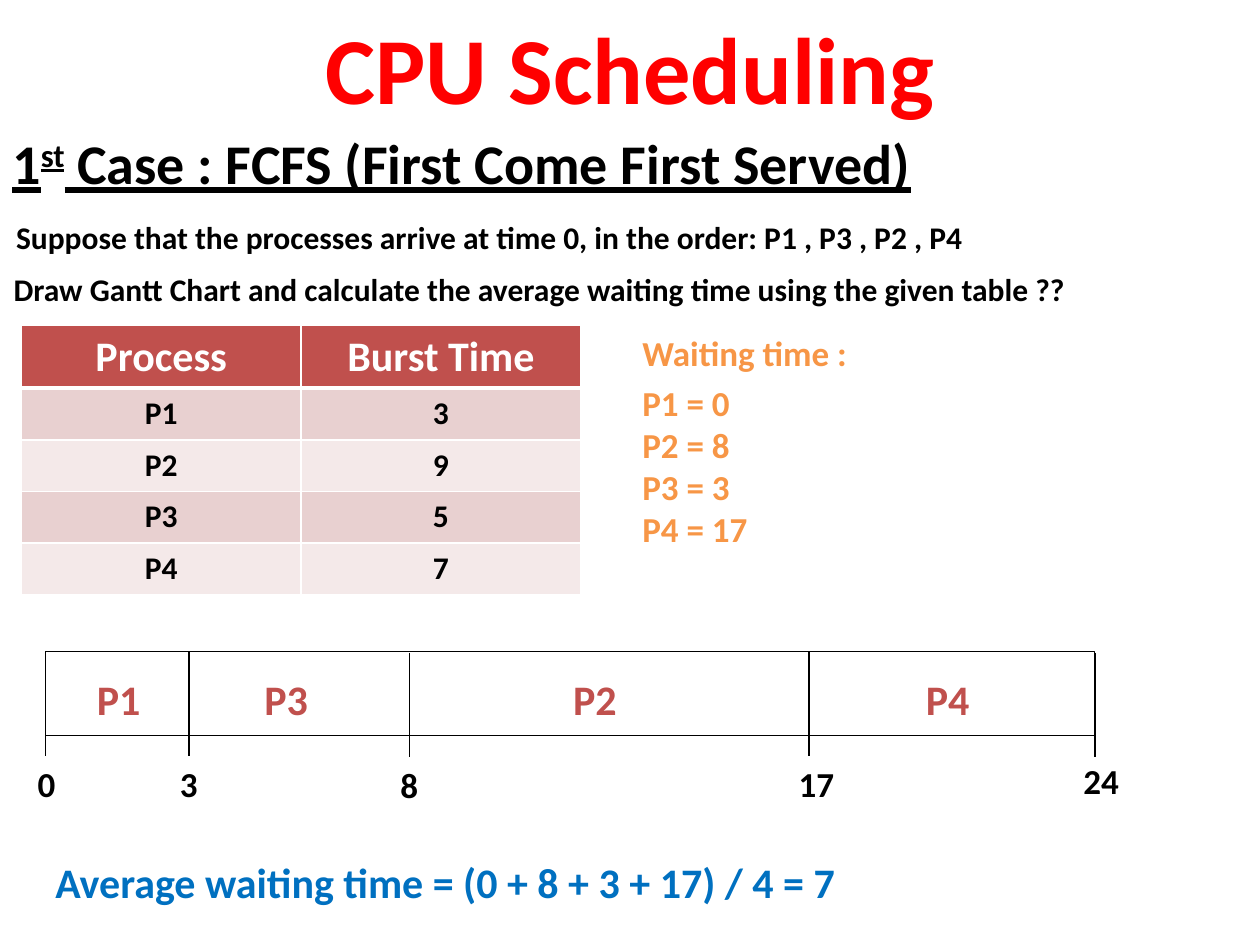
from lxml import etree
from pptx import Presentation
from pptx.dml.color import RGBColor
from pptx.enum.shapes import MSO_CONNECTOR, MSO_SHAPE
from pptx.enum.text import MSO_ANCHOR, PP_ALIGN
from pptx.oxml.ns import qn
from pptx.util import Inches, Pt

LEFT, CENTER = PP_ALIGN.LEFT, PP_ALIGN.CENTER
TOP, MIDDLE = MSO_ANCHOR.TOP, MSO_ANCHOR.MIDDLE
STRAIGHT = MSO_CONNECTOR.STRAIGHT
RECTANGLE = MSO_SHAPE.RECTANGLE

BLACK, WHITE, RED, ORANGE, BLUE = "000000", "FFFFFF", "C0504D", "F79646", "0070C0"
BANDS = ("E8D0D0", "F4E9E9")


def color(code):
    return RGBColor.from_string(code)


class SlideBuilder:
    """Holds the text style and the slide being built."""

    def __init__(self, slide, font="Calibri"):
        self.shapes = slide.shapes
        self.font = font

    def style(self, paragraph, size, code, align=LEFT):
        paragraph.alignment = align
        font = paragraph.font
        font.name, font.size, font.bold = self.font, Pt(size), True
        font.color.rgb = color(code)

    def text(self, left, top, width, height, words, size, code=BLACK,
             align=LEFT, anchor=TOP, wrap=True):
        box = self.shapes.add_textbox(Inches(left), Inches(top), Inches(width), Inches(height))
        frame = box.text_frame
        frame.word_wrap = wrap
        frame.vertical_anchor = anchor
        paragraph = frame.paragraphs[0]
        paragraph.text = words
        self.style(paragraph, size, code, align)
        return paragraph

    def heading(self, left, top, width, height, parts, size):
        paragraph = self.text(left, top, width, height, "", size, anchor=MIDDLE)
        paragraph.font.underline = True
        for words, raised in parts:
            span = paragraph.add_run()
            span.text = words
            if raised:
                span.font._element.set("baseline", "30000")

    def border(self, cell, side, width):
        line = etree.SubElement(cell._tc.get_or_add_tcPr(), qn(f"a:ln{side}"), w=str(Pt(width)))
        fill = etree.SubElement(line, qn("a:solidFill"))
        etree.SubElement(fill, qn("a:srgbClr"), val=WHITE)

    def table(self, left, top, column_width, heights, rows):
        columns = len(rows[0])
        table = self.shapes.add_table(
            len(rows), columns, Inches(left), Inches(top),
            Inches(column_width * columns), Inches(sum(heights))).table
        for column in table.columns:
            column.width = Inches(column_width)
        for index, (values, height) in enumerate(zip(rows, heights)):
            table.rows[index].height = Inches(height)
            header = index == 0
            for position, value in enumerate(values):
                cell = table.cell(index, position)
                for side in "LRTB":
                    thick = (header and side == "B") or (index == 1 and side == "T")
                    self.border(cell, side, 3 if thick else 1)
                cell.fill.solid()
                cell.fill.fore_color.rgb = color(RED if header else BANDS[(index - 1) % 2])
                paragraph = cell.text_frame.paragraphs[0]
                paragraph.text = value
                self.style(paragraph, 24 if header else 18, WHITE if header else BLACK, CENTER)

    def rectangle(self, left, top, width, height):
        shape = self.shapes.add_shape(
            RECTANGLE, Inches(left), Inches(top), Inches(width), Inches(height))
        shape.shadow.inherit = False
        shape.fill.solid()
        shape.fill.fore_color.rgb = color(WHITE)
        shape.line.color.rgb = color(BLACK)
        shape.line.width = Pt(0.75)

    def tick(self, x, top, length):
        line = self.shapes.add_connector(
            STRAIGHT, Inches(x), Inches(top), Inches(x), Inches(top + length))
        line.line.color.rgb = color(BLACK)
        line.line.width = Pt(0.75)
        etree.SubElement(line._element.spPr, qn("a:effectLst"))


def main():
    deck = Presentation()
    deck.slide_width, deck.slide_height = Inches(10), Inches(7.5)
    page = SlideBuilder(deck.slides.add_slide(deck.slide_layouts[6]))

    page.heading(0, 0.48, 10, 1.61, [
        ("1", False), ("st", True), (" Case : FCFS (First Come First Served)", False)], 32)
    page.text(0, 0.03, 10, 1.01, "CPU Scheduling", 54, "FF0000", CENTER)
    page.text(0.03, 1.68, 9, 0.4,
              "Suppose that the processes arrive at time 0, in the order: P1 , P3 , P2 , P4", 18)
    page.text(0.01, 2.09, 9.97, 0.4,
              "Draw Gantt Chart and calculate the average waiting time using the given table ??", 18)

    page.table(0.17, 2.58, 2.22, [0.5] + [0.41] * 4, [
        ("Process", "Burst Time"), ("P1", "3"), ("P2", "9"), ("P3", "5"), ("P4", "7")])

    page.text(5, 2.58, 1.84, 0.44, "Waiting time :", 20, ORANGE, wrap=False)
    for index, wait in enumerate((0, 8, 3, 17)):
        page.text(5, 2.98 + index / 3, 3.74, 0.44, f"P{index + 1} = {wait}", 20, ORANGE)

    page.rectangle(0.36, 5.17, 8.33, 0.67)
    for x, top in ((0.36, 5.17), (1.5, 5.17), (3.25, 5.18), (6.42, 5.17), (8.69, 5.18)):
        page.tick(x, top, 0.83)
    for process, left in (("P1", 0.67), ("P3", 2), ("P2", 4.45), ("P4", 7.25)):
        page.text(left, 5.3, 0.55, 0.5, process, 24, RED, wrap=False)
    for time, left, top, width in (("0", 0.2, 6, 0.34), ("3", 1.33, 6, 0.34),
                                   ("8", 3.08, 6.01, 0.34), ("17", 6.24, 6, 0.49),
                                   ("24", 8.5, 5.98, 0.49)):
        page.text(left, top, width, 0.44, time, 20, wrap=False)

    page.text(0.34, 6.75, 9.08, 0.5, "Average waiting time = (0 + 8 + 3 + 17) / 4 = 7", 24, BLUE)
    deck.save("out.pptx")


if __name__ == "__main__":
    main()
